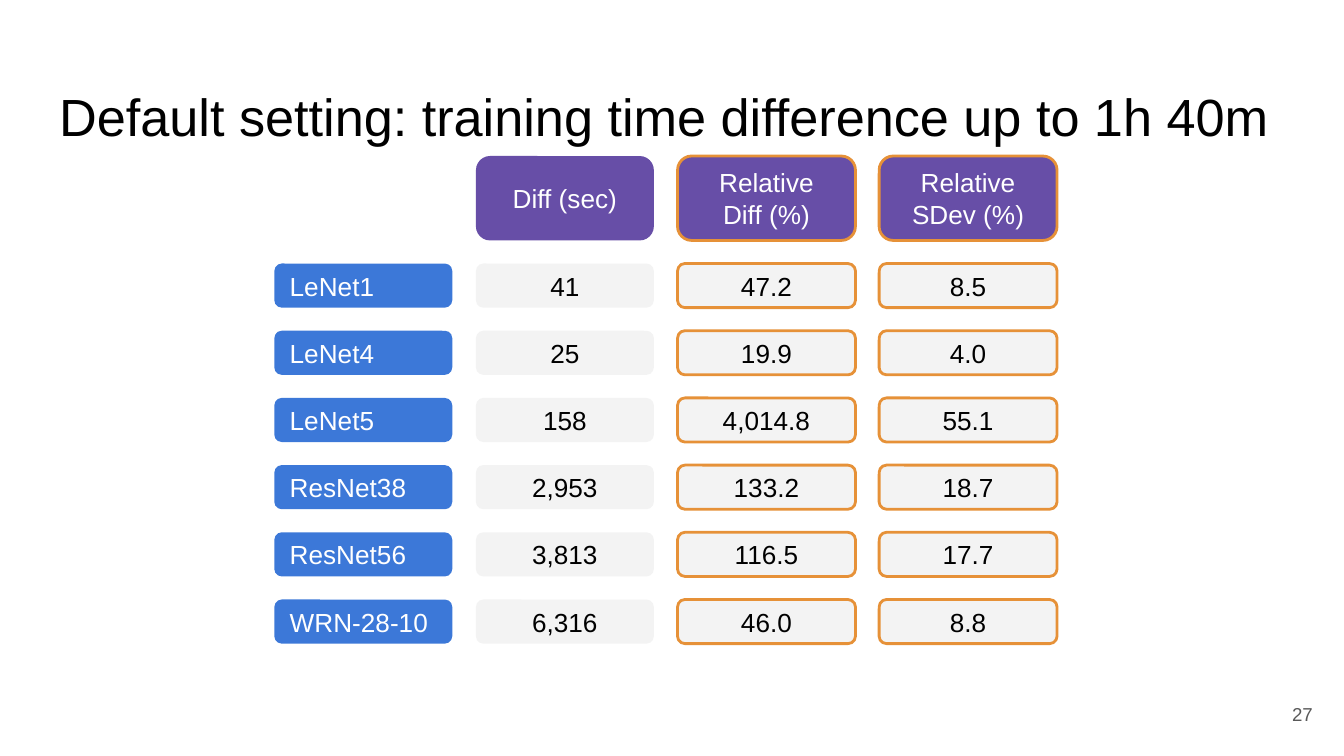
"""Build a slide that tabulates training time differences by network."""
from pptx import Presentation
from pptx import util as u
from pptx.dml.color import RGBColor
from pptx.enum import shapes, text

Pt = u.Pt
AL = text.PP_ALIGN


def rgb(value):
    return RGBColor.from_string(value)


def write(sp, content, size, color, align, anchor=text.MSO_ANCHOR.MIDDLE):
    tf = sp.text_frame
    tf.word_wrap = True
    tf.auto_size = text.MSO_AUTO_SIZE.NONE
    tf.vertical_anchor = anchor
    tf.margin_left = tf.margin_right = tf.margin_top = tf.margin_bottom = Pt(7.2)
    tf.text = content
    for p in tf.paragraphs:
        p.alignment = align
        p.font.name = "Arial"
        p.font.size = Pt(size)
        p.font.color.rgb = rgb(color)


prs = Presentation()
prs.slide_width, prs.slide_height = Pt(720), Pt(405)
s = prs.slides.add_slide(prs.slide_layouts[5])

title = s.shapes.title
title.left, title.top, title.width, title.height = Pt(24.5), Pt(35.3), Pt(691), Pt(45.4)
write(title, "Default setting: training time difference up to 1h 40m", 28, "000000",
      AL.LEFT, text.MSO_ANCHOR.TOP)
title.text_frame.margin_top = Pt(9.8)

rows = [
    ["", "Diff (sec)", "Relative\nDiff (%)", "Relative SDev (%)"],
    ["LeNet1", "41", "47.2", "8.5"],
    ["LeNet4", "25", "19.9", "4.0"],
    ["LeNet5", "158", "4,014.8", "55.1"],
    ["ResNet38", "2,953", "133.2", "18.7"],
    ["ResNet56", "3,813", "116.5", "17.7"],
    ["WRN-28-10", "6,316", "46.0", "8.8"],
]
left, first_top, col_step, row_step = 147, 141.2, 108, 36

for i, row in enumerate(rows):
    top, height = (first_top + (i - 1) * row_step, 23.6) if i else (83.6, 45.2)
    for j, content in enumerate(row):
        if not content:
            continue
        if i == 0:
            fill, color = "674EA7", "FFFFFF"
        elif j == 0:
            fill, color = "3C78D8", "FFFFFF"
        else:
            fill, color = "F3F3F3", "000000"
        sp = s.shapes.add_shape(shapes.MSO_SHAPE.ROUNDED_RECTANGLE, Pt(left + j * col_step),
                                Pt(top), Pt(95.3), Pt(height))
        sp.shadow.inherit = False
        sp.fill.solid()
        sp.fill.fore_color.rgb = rgb(fill)
        if j >= 2:
            sp.line.color.rgb = rgb("E69138")
            sp.line.width = Pt(1.5)
        else:
            sp.line.fill.background()
        write(sp, content, 14, color, AL.CENTER if j else AL.LEFT)

number = s.shapes.add_textbox(Pt(667.2), Pt(367.2), Pt(43.2), Pt(31))
write(number, "27", 10, "595959", AL.RIGHT)

prs.save("out.pptx")
